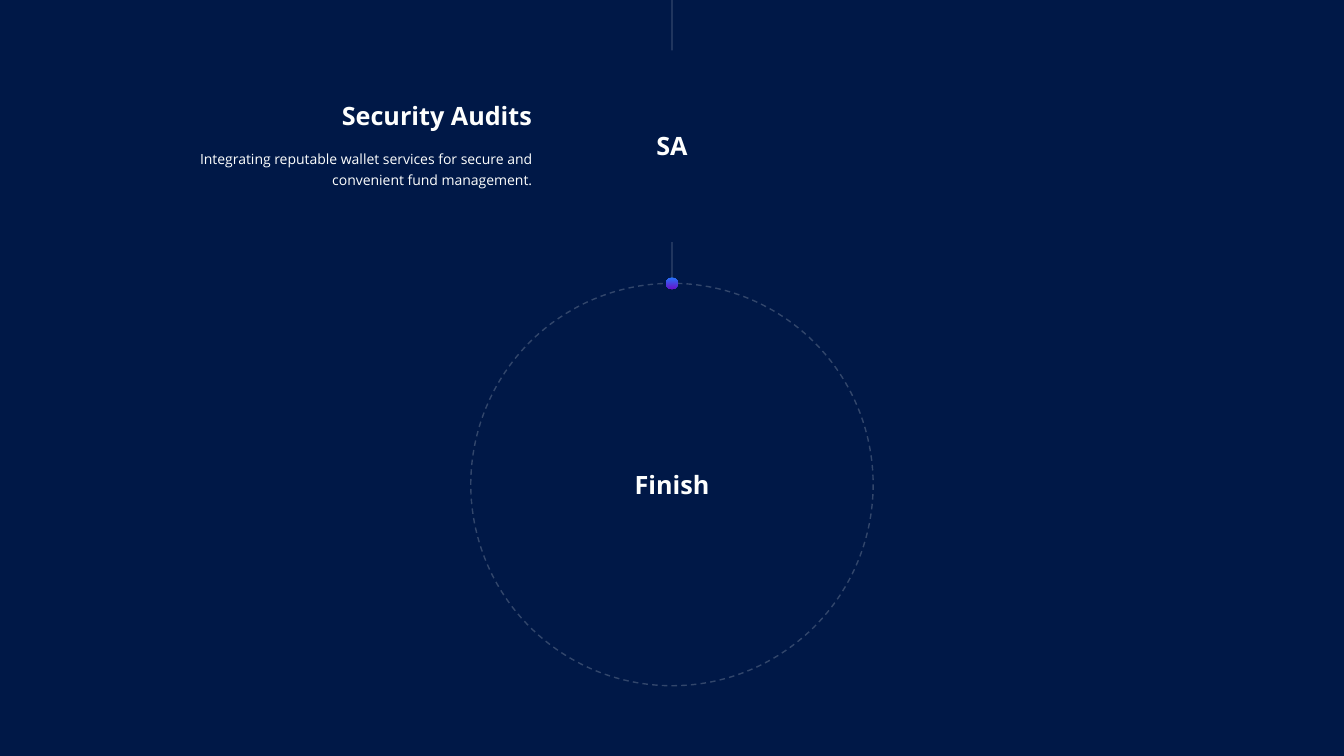
from pptx import Presentation
from pptx.dml.color import RGBColor
from pptx.enum.dml import MSO_LINE
from pptx.enum.shapes import MSO_CONNECTOR, MSO_SHAPE
from pptx.enum.text import PP_ALIGN
from pptx.oxml.ns import qn
from pptx.util import Cm, Pt
from lxml.etree import SubElement

FONT = "Open Sans"
NAVY, WHITE, BLUE, PURPLE = "001847", "FEFFFE", "2574FB", "6A11CA"
WIDTH, HEIGHT = 33.87, 19.05
AXIS = WIDTH / 2


def color(code):
    return RGBColor.from_string(code)


def outline(line):
    """Thin white line at 20 % opacity."""
    line.width = Pt(1)
    line.color.rgb = color(WHITE)
    tone = next(line.fill._xPr.iter(qn("a:srgbClr")))
    SubElement(tone, qn("a:alpha"), val="20000")


def write(slide, text, left, top, width, height, align, size=18, bold=True, wrap=False):
    box = slide.shapes.add_textbox(Cm(left), Cm(top), Cm(width), Cm(height))
    frame = box.text_frame
    frame.word_wrap = wrap
    frame.margin_left = frame.margin_right = 0
    para = frame.paragraphs[0]
    para.text = text
    para.alignment = align
    para.font.name = FONT
    para.font.size = Pt(size)
    para.font.bold = bold
    para.font.color.rgb = color(WHITE)
    return para


def label(slide, text, mid, width):
    """Bold word centred on the axis at height mid."""
    write(slide, text, AXIS - width / 2, mid - 0.51, width, 1.02, PP_ALIGN.CENTER)


def disc(slide, mid, size):
    """Circle centred on the axis at height mid."""
    shape = slide.shapes.add_shape(
        MSO_SHAPE.OVAL, Cm(AXIS - size / 2), Cm(mid - size / 2), Cm(size), Cm(size))
    shape.shadow.inherit = False
    return shape


def stem(slide, top, end):
    line = slide.shapes.add_connector(
        MSO_CONNECTOR.STRAIGHT, Cm(AXIS), Cm(top), Cm(AXIS), Cm(end))
    outline(line.line)
    SubElement(line._element.spPr, qn("a:effectLst"))


def goal(slide, top, size):
    """Dashed ring with its word and the dot on its top."""
    mid = top + size / 2
    ring = disc(slide, mid, size)
    ring.fill.background()
    outline(ring.line)
    ring.line.dash_style = MSO_LINE.DASH
    label(slide, "Finish", mid, 1.9)
    stem(slide, top - 1.04, top)
    dot = disc(slide, top, 0.3)
    dot.line.fill.background()
    dot.fill.gradient()
    dot.fill.gradient_angle = 270
    for stop, code in zip(dot.fill.gradient_stops, (BLUE, PURPLE)):
        stop.color.rgb = color(code)


def step(slide, left, top, width):
    """Milestone text beside its initials on the axis."""
    stem(slide, 0, 1.27)
    label(slide, "SA", top + 1.27, 0.8)
    write(slide, "Security Audits", left + width - 4.85, top, 4.85, 1.02, PP_ALIGN.RIGHT)
    body = write(
        slide,
        "Integrating reputable wallet services for secure and convenient fund management.",
        left, top + 1.12, width, 1.37, PP_ALIGN.RIGHT, 10, False, True)
    body.line_spacing = 1.3


def main():
    deck = Presentation()
    deck.slide_width, deck.slide_height = Cm(WIDTH), Cm(HEIGHT)
    slide = deck.slides.add_slide(deck.slide_layouts[6])
    fill = slide.background.fill
    fill.solid()
    fill.fore_color.rgb = color(NAVY)
    goal(slide, 7.14, 10.14)
    step(slide, 4.27, 2.41, 9.14)
    deck.save("out.pptx")


if __name__ == "__main__":
    main()
